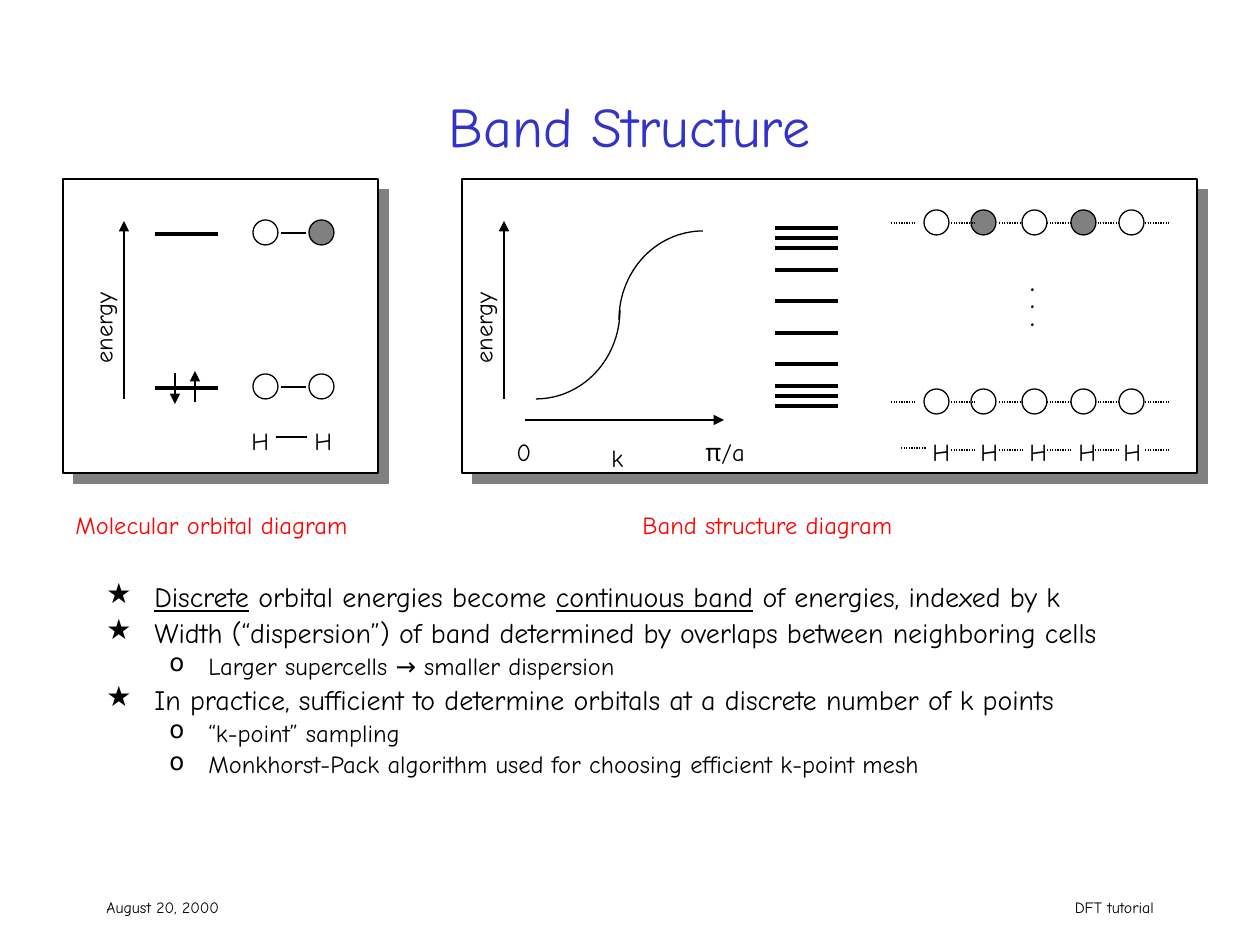
import math

import pptx
import pptx.dml.color
import pptx.enum.dml
import pptx.enum.shapes
import pptx.enum.text
import pptx.oxml
import pptx.oxml.ns
import pptx.util
from lxml import etree

RGBColor = pptx.dml.color.RGBColor
BLACK = RGBColor(0x00, 0x00, 0x00)
WHITE = RGBColor(0xFF, 0xFF, 0xFF)
GRAY = RGBColor(0x80, 0x80, 0x80)
BLUE = RGBColor(0x33, 0x33, 0xCC)
RED = RGBColor(0xFF, 0x00, 0x00)
Shape = pptx.enum.shapes.MSO_SHAPE
Align = pptx.enum.text.PP_ALIGN
qn = pptx.oxml.ns.qn

EMU_PER_PIXEL = 914400 / 126
SHADOW = (
    '<a:effectLst xmlns:a="http://schemas.openxmlformats.org/drawingml/2006/main">'
    '<a:outerShdw dist="107763" dir="2700000" algn="ctr" rotWithShape="0">'
    f'<a:srgbClr val="{GRAY}"/></a:outerShdw></a:effectLst>'
)


def px(*lengths):
    return [pptx.util.Emu(round(length * EMU_PER_PIXEL)) for length in lengths]


class SlideBuilder:
    font_name = "Comic Neue"
    thin, thick = 0.75, 2.25

    def __init__(self, slide):
        self.slide = slide

    def style_font(self, paragraph, size, color=BLACK, bold=False):
        font = paragraph.font
        font.name, font.size, font.bold = self.font_name, pptx.util.Pt(size), bold
        font.color.rgb = color

    def title(self, text, box, size, color):
        title = self.slide.shapes.title
        title.left, title.top, title.width, title.height = px(*box)
        title.text_frame.text = text
        title.text_frame.vertical_anchor = pptx.enum.text.MSO_ANCHOR.MIDDLE
        paragraph = title.text_frame.paragraphs[0]
        paragraph.alignment = Align.CENTER
        self.style_font(paragraph, size, color)

    def text(self, text, box, size=14, color=BLACK, align=Align.LEFT, wrap=False,
             rotation=0, bold=False, spacing=None):
        shape = self.slide.shapes.add_textbox(*px(*box))
        shape.rotation = rotation
        frame = shape.text_frame
        frame.text = text
        frame.word_wrap = wrap
        if not wrap:
            frame.auto_size = pptx.enum.text.MSO_AUTO_SIZE.SHAPE_TO_FIT_TEXT
        for paragraph in frame.paragraphs:
            paragraph.alignment = align
            paragraph.line_spacing = spacing
            self.style_font(paragraph, size, color, bold)

    def bullets(self, items, box):
        frame = self.slide.shapes.add_textbox(*px(*box)).text_frame
        frame.word_wrap = True
        for index, (level, pieces) in enumerate(items):
            paragraph = frame.paragraphs[0] if index == 0 else frame.add_paragraph()
            mark, size, margin, hanging = (("★", 16, 48, 48), ("o", 14, 102, 39))[level]
            paragraph.level = level
            properties = paragraph._p.get_or_add_pPr()
            properties.set("marL", str(px(margin)[0]))
            properties.set("indent", str(-px(hanging)[0]))
            etree.SubElement(properties, qn("a:buChar")).set("char", mark)
            paragraph.line_spacing = 0.9
            paragraph.space_before = pptx.util.Pt(0.2 * size)
            self.style_font(paragraph, size)
            for piece, underlined in pieces:
                run = paragraph.add_run()
                run.text = piece
                if underlined:
                    run.font.underline = True

    def shape(self, kind, box, fill=None, shadow=False):
        shape = self.slide.shapes.add_shape(kind, *px(*box))
        self.outline(shape, fill)
        if shadow:
            properties = shape._element.spPr
            properties.remove(properties.find(qn("a:effectLst")))
            properties.append(pptx.oxml.parse_xml(SHADOW))

    def outline(self, shape, fill=None):
        shape.shadow.inherit = False
        shape.line.color.rgb = BLACK
        shape.line.width = pptx.util.Pt(self.thin)
        if fill is None:
            shape.fill.background()
        else:
            shape.fill.solid()
            shape.fill.fore_color.rgb = fill

    def line(self, start, end, width=thin, arrow=False, dotted=False):
        connector = self.slide.shapes.add_connector(
            pptx.enum.shapes.MSO_CONNECTOR.STRAIGHT, *px(*start, *end))
        connector.line.color.rgb = BLACK
        connector.line.width = pptx.util.Pt(width)
        if dotted:
            connector.line.dash_style = pptx.enum.dml.MSO_LINE.ROUND_DOT
        if arrow:
            tail = etree.SubElement(connector.line._get_or_add_ln(), qn("a:tailEnd"))
            tail.set("type", "triangle")
        etree.SubElement(connector._element.spPr, qn("a:effectLst"))

    def quarter_arc(self, center, radii, first_degree, steps=30):
        angles = [math.radians(first_degree + 90 * i / steps) for i in range(steps + 1)]
        points = [px(center[0] + radii[0] * math.cos(angle),
                     center[1] + radii[1] * math.sin(angle)) for angle in angles]
        builder = self.slide.shapes.build_freeform(*points[0])
        builder.add_line_segments(points[1:], close=False)
        self.outline(builder.convert_to_shape())

    def orbital(self, left, top, fill=None):
        self.shape(Shape.OVAL, (left, top, 25, 25), fill)

    def level(self, left, y):
        self.line((left, y), (left + 63, y), self.thick)

    def energy_axis(self, x):
        self.line((x, 399), (x, 221), arrow=True)
        self.text("energy", (x - 72, 304, 102, 42), rotation=270)


presentation = pptx.Presentation()
presentation.slide_width, presentation.slide_height = px(1260, 945)
slide = presentation.slides.add_slide(presentation.slide_layouts[5])
builder = SlideBuilder(slide)

# Title, footer and panels
builder.title("Band Structure", (94, 73, 1071, 105), 32, BLUE)
builder.text("August 20, 2000", (94, 892, 262, 32), 9, wrap=True)
builder.text("DFT tutorial", (766, 892, 400, 32), 9, align=Align.RIGHT, wrap=True)
for left, width in ((462, 735), (63, 315)):
    builder.shape(Shape.RECTANGLE, (left, 179, width, 294), WHITE, shadow=True)

# Molecular orbital diagram
builder.energy_axis(124)
for orbital_top, right_fill in ((220, GRAY), (374, WHITE)):
    builder.level(155, orbital_top + 14)
    builder.orbital(253, orbital_top)
    builder.orbital(309, orbital_top, right_fill)
    builder.line((281, orbital_top + 13), (306, orbital_top + 13))
for x, start, end in ((175, 373, 404), (195, 402, 371)):
    builder.line((x, start), (x, end), arrow=True)
for left in (239, 302):
    builder.text("H", (left, 420, 44, 42))
builder.line((276, 437), (307, 437))

# Dispersion curve and its axes
builder.energy_axis(504)
builder.line((525, 420), (724, 420), arrow=True)
builder.quarter_arc((536, 310), (84, 89), 0)
builder.quarter_arc((703, 320), (84, 89), 180)
for label, left, top, width in (("0", 504, 431, 40), ("k", 599, 437, 39),
                                ("π/a", 693, 431, 66)):
    builder.text(label, (left, top, width, 42))

# Band levels, symmetric about the middle
for offset in (0, 10, 20, 42, 73):
    builder.level(775, 228 + offset)
    builder.level(775, 406 - offset)

# Chains of orbitals and of atoms
bond_lefts = (891, 951, 999, 1047, 1095, 1145)
for orbital_top, alternate_fill in ((210, GRAY), (389, None)):
    for index, left in enumerate((924, 971, 1022, 1071, 1119)):
        builder.orbital(left, orbital_top, alternate_fill if index % 2 else None)
    for left in bond_lefts:
        builder.line((left, orbital_top + 13), (left + 25, orbital_top + 13), dotted=True)
builder.text(".\n.\n.", (1018, 271, 37, 66), bold=True, spacing=0.6)
for left in (920, 968, 1017, 1066, 1111):
    builder.text("H", (left, 431, 44, 42))
for left, y in [(901, 448)] + [(left, 450) for left in bond_lefts[1:]]:
    builder.line((left, y), (left + 25, y), dotted=True)

# Captions and bullet points
builder.text("Molecular orbital diagram", (63, 504, 318, 42), color=RED)
builder.text("Band structure diagram", (630, 504, 295, 42), color=RED)
builder.bullets([
    (0, [("Discrete", True), (" orbital energies become ", False),
         ("continuous band", True), (" of energies, indexed by k", False)]),
    (0, [("Width (“dispersion”) of band determined by overlaps between "
          "neighboring cells", False)]),
    (1, [("Larger supercells → smaller dispersion", False)]),
    (0, [("In practice, sufficient to determine orbitals at a discrete number "
          "of k points", False)]),
    (1, [("“k-point” sampling", False)]),
    (1, [("Monkhorst-Pack algorithm used for choosing efficient k-point mesh", False)]),
], (94, 577, 1071, 294))

presentation.save("out.pptx")
